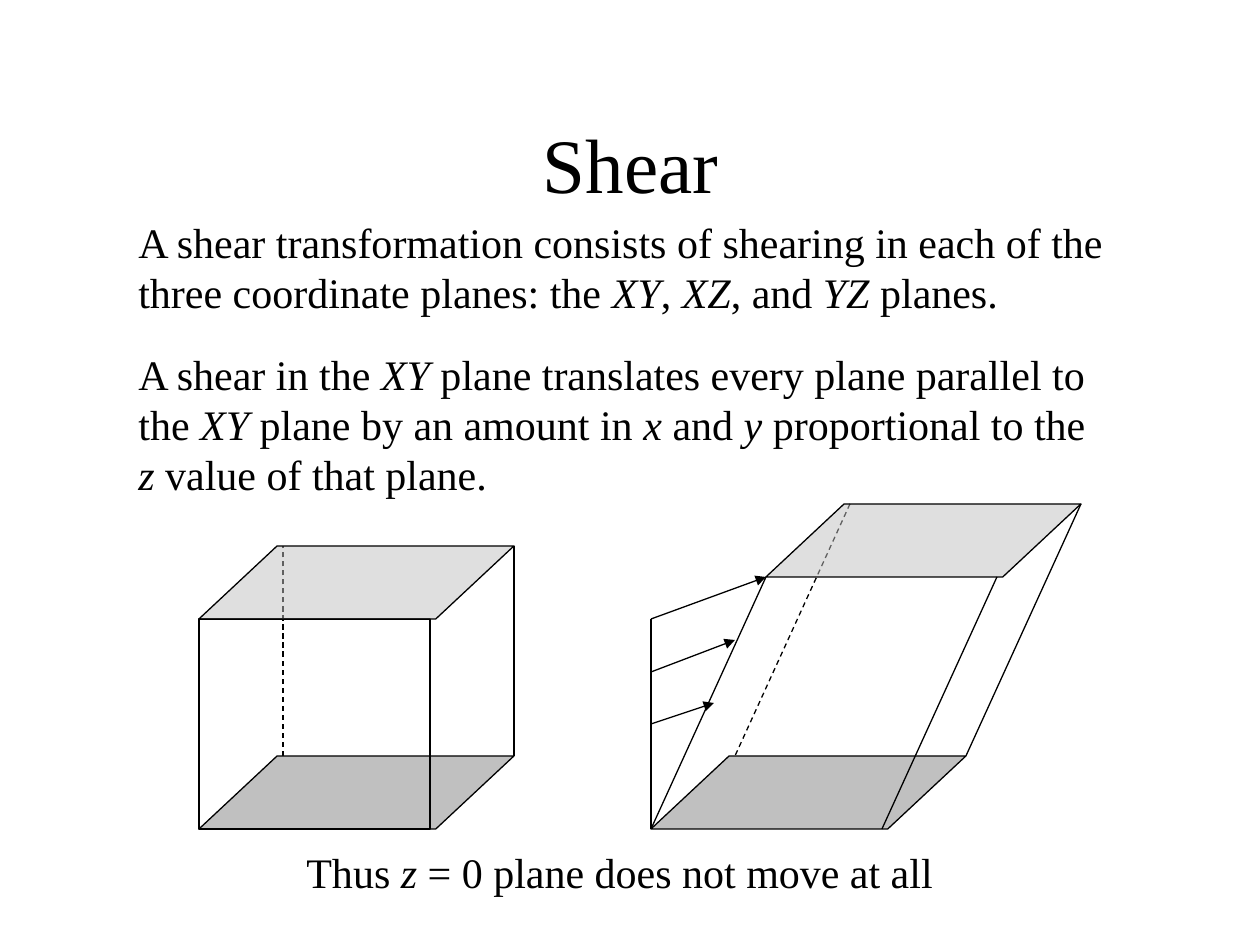
from dataclasses import dataclass

from lxml import etree
from pptx import Presentation
from pptx import util as u
from pptx.dml import color
from pptx.enum import dml, shapes, text
from pptx.oxml import ns

SCALE = 914400 // 126


@dataclass(frozen=True)
class Theme:
    font: str = "Times New Roman"
    ink: color.RGBColor = color.RGBColor(0, 0, 0)
    plane: color.RGBColor = color.RGBColor(0xC0, 0xC0, 0xC0)
    title_size: float = 44
    body_size: float = 24
    leading: float = 1.2
    stroke: float = 0.74


THEME = Theme()


def px(*lengths):
    return [u.Emu(length * SCALE) for length in lengths]


def ink_line(line):
    line.color.rgb = THEME.ink
    line.width = u.Pt(THEME.stroke)


def add_text(slide, box, marked, size=THEME.body_size, align=text.PP_ALIGN.LEFT,
             anchor=text.MSO_ANCHOR.TOP):
    frame = slide.shapes.add_textbox(*px(*box)).text_frame
    frame.word_wrap = True
    frame.vertical_anchor = anchor
    paragraph = frame.paragraphs[0]
    paragraph.alignment = align
    paragraph.line_spacing = u.Pt(size * THEME.leading)
    paragraph.font.name = THEME.font
    paragraph.font.size = u.Pt(size)
    paragraph.font.color.rgb = THEME.ink
    for index, words in enumerate(marked.split("*")):
        run = paragraph.add_run()
        run.text = words
        if index % 2:
            run.font.italic = True


def add_edge(slide, start, end, dashed=False, arrow=False):
    edge = slide.shapes.add_connector(shapes.MSO_CONNECTOR.STRAIGHT, *px(*start, *end))
    ink_line(edge.line)
    if dashed:
        edge.line.dash_style = dml.MSO_LINE.DASH
    if arrow:
        outline = edge._element.spPr.find(ns.qn("a:ln"))
        etree.SubElement(outline, ns.qn("a:tailEnd"), type="triangle")
    etree.SubElement(edge._element.spPr, ns.qn("a:effectLst"))


def add_solid(slide, preset, box):
    solid = slide.shapes.add_shape(preset, *px(*box))
    solid.shadow.inherit = False
    ink_line(solid.line)
    return solid


def add_plane(slide, box, translucent=False):
    plane = add_solid(slide, shapes.MSO_SHAPE.PARALLELOGRAM, box)
    plane.adjustments[0] = 1.07
    plane.fill.solid()
    plane.fill.fore_color.rgb = THEME.plane
    if translucent:
        tint = plane._element.spPr.find(ns.qn("a:solidFill")).find(ns.qn("a:srgbClr"))
        etree.SubElement(tint, ns.qn("a:alpha"), val="50000")


def cube(slide, left, top, width, depth, height):
    right, base = left + width, top + height
    hidden, front = left + 84, 231
    add_edge(slide, (hidden, base), (hidden, top), dashed=True)
    add_plane(slide, (left, base, width, depth))
    face = add_solid(slide, shapes.MSO_SHAPE.RECTANGLE, (left, top + depth, front, height))
    face.fill.background()
    add_edge(slide, (right, base), (right, top))
    add_plane(slide, (left, top, width, depth), translucent=True)


def sheared_cube(slide, left, top, width, depth, height, shift):
    base = top + height
    add_edge(slide, (left + shift + 84, top), (left + 84, base), dashed=True)
    add_plane(slide, (left, base, width, depth))
    add_plane(slide, (left + shift, top, width, depth), translucent=True)
    for across, down in ((0, depth), (231, depth), (width, 0)):
        add_edge(slide, (left + shift + across, top + down), (left + across, base + down))
    upright = top + depth + 42
    for drop, reach, rise in ((0, shift, 42), (53, 84, 32), (105, 63, 21)):
        start = upright + drop
        add_edge(slide, (left, start), (left + reach, start - rise), arrow=True)
    add_edge(slide, (left, base + depth), (left, upright))


def shear_slide(deck):
    slide = deck.slides.add_slide(deck.slide_layouts[6])
    add_text(slide, (95, 84, 1071, 158), "Shear", THEME.title_size,
             text.PP_ALIGN.CENTER, text.MSO_ANCHOR.MIDDLE)
    add_text(slide, (126, 210, 998, 113),
             "A shear transformation consists of shearing in each of the three "
             "coordinate planes: the *XY*, *XZ*, and *YZ* planes.")
    add_text(slide, (126, 342, 989, 164),
             "A shear in the *XY* plane translates every plane parallel to the *XY* plane "
             "by an amount in *x* and *y* proportional to the *z* value of that plane.")
    cube(slide, 199, 546, 315, 73, 210)
    sheared_cube(slide, 651, 504, 315, 73, 252, 115)
    add_text(slide, (294, 840, 670, 63), "Thus* z* = 0 plane does not move at all")


deck = Presentation()
deck.slide_width, deck.slide_height = px(1260, 945)
shear_slide(deck)
deck.save("out.pptx")
